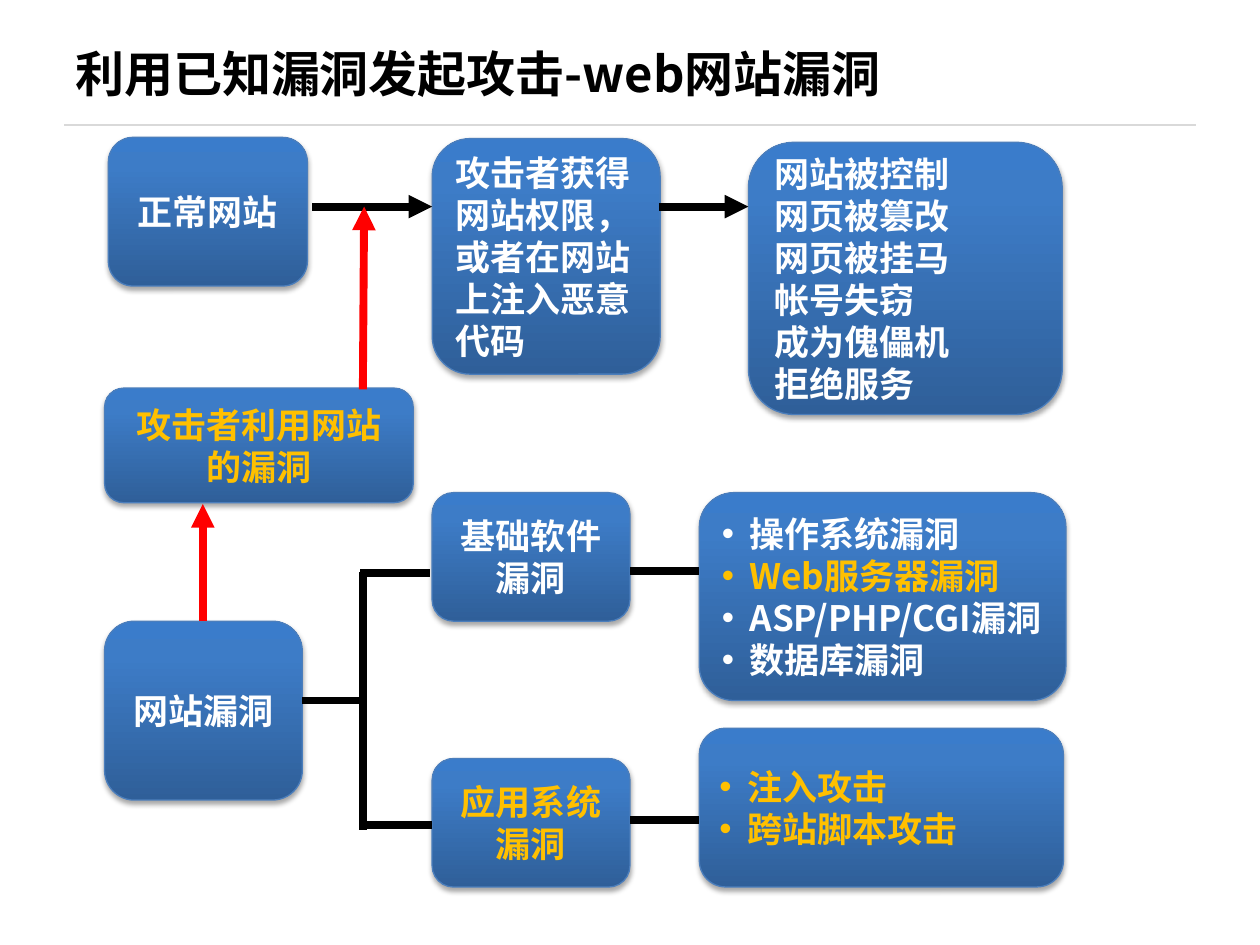
from lxml import etree
from pptx import Presentation
from pptx.dml.color import RGBColor
from pptx.enum.shapes import MSO_CONNECTOR, MSO_SHAPE
from pptx.enum.text import MSO_ANCHOR, PP_ALIGN
from pptx.oxml import parse_xml
from pptx.oxml.ns import qn
from pptx.util import Inches, Pt

LEFT, CENTER = PP_ALIGN.LEFT, PP_ALIGN.CENTER
MIDDLE = MSO_ANCHOR.MIDDLE
NS = 'xmlns:a="http://schemas.openxmlformats.org/drawingml/2006/main"'
FONT = "Noto Sans CJK SC"
C = {"black": "000000", "white": "FFFFFF", "gold": "FFC000", "red": "FF0000",
     "rule": "D9D9D9", "edge": "4B7EBC"}
STOPS = [(0, "2F5F99"), (80, "3D7CC7"), (100, "3A7CCB")]

TITLE = "利用已知漏洞发起攻击-web网站漏洞"
# Column edges and row centres, in inches
X1, X2, X3 = 0.83, 3.43, 5.55
X_TRUNK, X_UP, X2_END = 2.88, 1.61, X2 + 1.57
Y_FLOW, Y_BASE, Y_APP, Y_ROOT = 1.64, 4.54, 6.53, 5.56
INDENT = 0.22

# (left, top, width, height), alignment, bulleted, [(text, colour)]
BOXES = [
    ((0.86, 1.09, 1.58, 1.18), CENTER, False, [("正常网站", "white")]),
    ((X2, 1.1, 1.81, 1.87), LEFT, False,
     [("攻击者获得网站权限，或者在网站上注入恶意代码", "white")]),
    ((5.94, 1.13, 2.49, 2.16), LEFT, False,
     [(t, "white") for t in ("网站被控制", "网页被篡改", "网页被挂马",
                             "帐号失窃", "成为傀儡机", "拒绝服务")]),
    ((X1, 3.08, 2.45, 0.91), CENTER, False, [("攻击者利用网站的漏洞", "gold")]),
    ((X1, 4.93, 1.57, 1.42), CENTER, False, [("网站漏洞", "white")]),
    ((X2, 3.91, 1.57, 1.02), CENTER, False, [("基础软件漏洞", "white")]),
    ((X2, 6.02, 1.57, 1.02), CENTER, False, [("应用系统漏洞", "gold")]),
    ((X3, 3.91, 2.91, 1.65), LEFT, True,
     [("操作系统漏洞", "white"), ("Web服务器漏洞", "gold"),
      ("ASP/PHP/CGI漏洞", "white"), ("数据库漏洞", "white")]),
    ((X3, 5.78, 2.89, 1.26), LEFT, True,
     [("注入攻击", "gold"), ("跨站脚本攻击", "gold")]),
]
# from, to, colour, arrowhead
LINES = [
    ((2.48, Y_FLOW), (X2, Y_FLOW), "black", True),
    ((5.23, Y_FLOW), (5.94, Y_FLOW), "black", True),
    ((X_TRUNK, 3.09), (2.89, Y_FLOW), "red", True),
    ((X_UP, 4.93), (X_UP, 4.0), "red", True),
    ((2.4, Y_ROOT), (X_TRUNK, Y_ROOT), "black", False),
    ((X_TRUNK, Y_BASE), (X_TRUNK, 6.59), "black", False),
    ((2.86, 4.55), (3.41, 4.55), "black", False),
    ((X_TRUNK, 6.55), (X2, 6.55), "black", False),
    ((X2_END, 4.53), (X3, 4.53), "black", False),
    ((X2_END, 6.51), (X3, 6.51), "black", False),
]


def rgb(name):
    return RGBColor.from_string(C[name])


def format_runs(p, size, color):
    for r in p.runs:
        f = r.font
        f.size, f.bold, f.name = Pt(size), True, FONT
        f.color.rgb = rgb(color)
        etree.SubElement(r._r.get_or_add_rPr(), qn("a:ea"), typeface=FONT)


def add_bullet(p):
    pPr = p._p.get_or_add_pPr()
    pPr.set("marL", str(Inches(INDENT)))
    pPr.set("indent", str(-Inches(INDENT)))
    etree.SubElement(pPr, qn("a:buFont"), typeface="Arial")
    etree.SubElement(pPr, qn("a:buChar"), char="•")


def add_gradient_and_shadow(sp):
    stops = "".join(f'<a:gs pos="{pos * 1000}"><a:srgbClr val="{hex_}"/></a:gs>'
                    for pos, hex_ in STOPS)
    grad = parse_xml(f'<a:gradFill {NS} rotWithShape="1"><a:gsLst>{stops}</a:gsLst>'
                     '<a:lin ang="16200000" scaled="0"/></a:gradFill>')
    shadow = parse_xml(
        f'<a:effectLst {NS}><a:outerShdw blurRad="{Pt(3.1)}" dist="{Pt(1.8)}" '
        'dir="5400000" rotWithShape="0"><a:srgbClr val="000000">'
        '<a:alpha val="35000"/></a:srgbClr></a:outerShdw></a:effectLst>')
    spPr = sp._element.spPr
    spPr.find(qn("a:prstGeom")).addnext(grad)
    spPr.find(qn("a:ln")).addnext(shadow)


def add_box(slide, place, align, bulleted, lines):
    sp = slide.shapes.add_shape(MSO_SHAPE.ROUNDED_RECTANGLE, *map(Inches, place))
    sp.line.color.rgb, sp.line.width = rgb("edge"), Pt(0.75)
    add_gradient_and_shadow(sp)
    tf = sp.text_frame
    tf.word_wrap, tf.vertical_anchor = True, MIDDLE
    if bulleted:
        tf.margin_right = 0
    tf.text = "\n".join(text for text, _ in lines)
    for p, (_, color) in zip(tf.paragraphs, lines):
        p.alignment = align
        format_runs(p, 20, color)
        if bulleted:
            add_bullet(p)


def add_line(slide, start, end, color, arrow=False, width=4.5):
    cx = slide.shapes.add_connector(MSO_CONNECTOR.STRAIGHT,
                                    *map(Inches, start + end))
    cx.line.color.rgb, cx.line.width = rgb(color), Pt(width)
    if arrow:
        etree.SubElement(cx.line._get_or_add_ln(), qn("a:tailEnd"), type="triangle")
    etree.SubElement(cx._element.spPr, qn("a:effectLst"))


def add_title(slide):
    sp = slide.shapes.add_textbox(*map(Inches, (0.5, 0.3, 9, 0.56)))
    tf = sp.text_frame
    tf.word_wrap, tf.vertical_anchor = True, MIDDLE
    tf.margin_top = tf.margin_bottom = 0
    tf.text = TITLE
    format_runs(tf.paragraphs[0], 28, "black")


def main():
    prs = Presentation()
    prs.slide_width, prs.slide_height = Inches(10), Inches(7.5)
    slide = prs.slides.add_slide(prs.slide_layouts[6])
    add_line(slide, (0.51, 0.99), (9.49, 0.99), "rule", width=1.25)
    add_title(slide)
    for box in BOXES:
        add_box(slide, *box)
    for line in LINES:
        add_line(slide, *line)
    prs.save("out.pptx")


if __name__ == "__main__":
    main()
